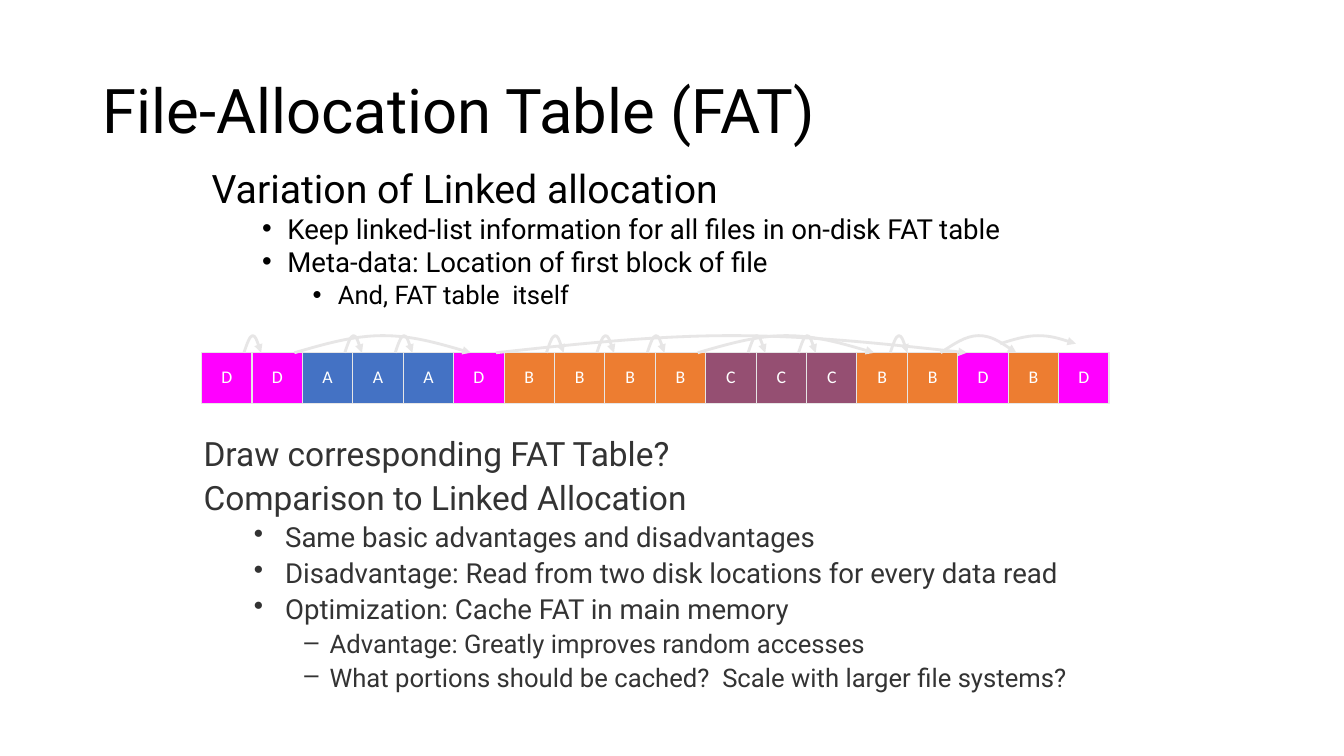
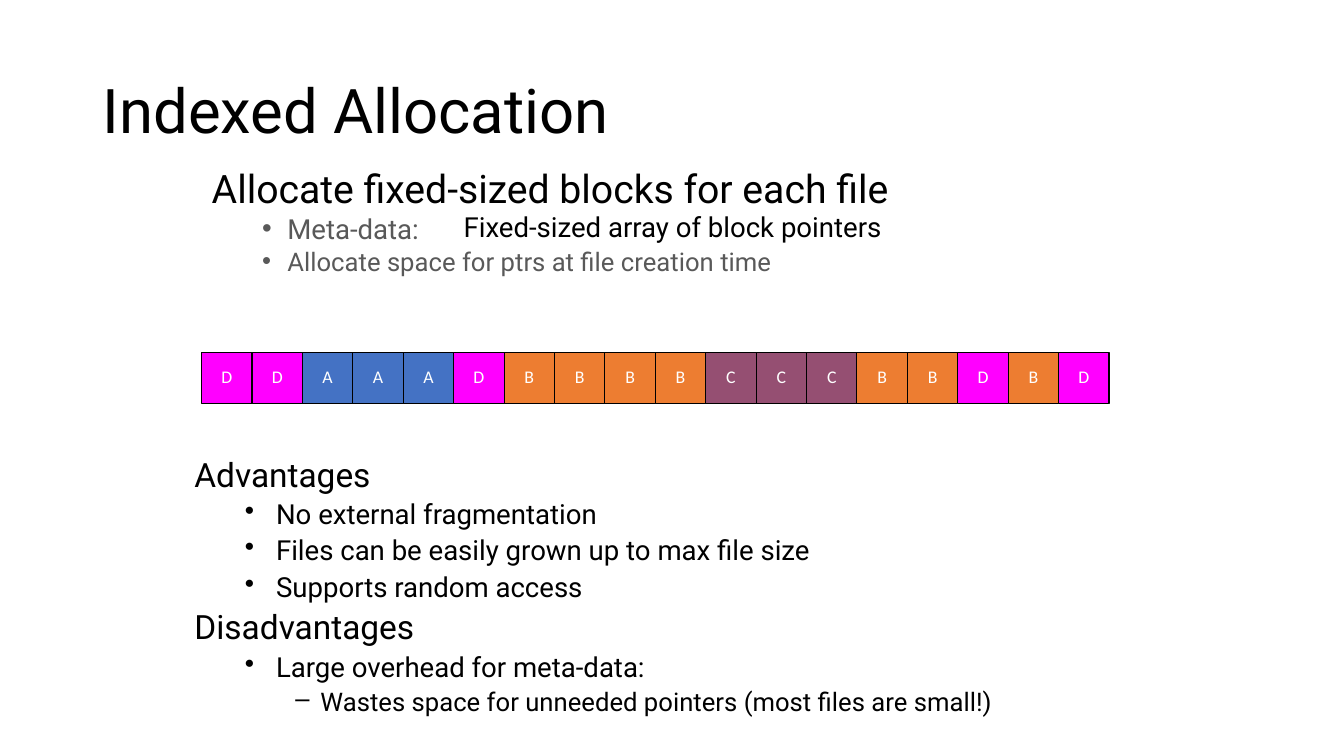
"""Build two slides on how file systems allocate disk blocks."""

from dataclasses import dataclass
from typing import NamedTuple

from lxml.etree import SubElement
from pptx import Presentation
from pptx.dml.color import RGBColor
from pptx.enum.shapes import MSO_SHAPE
from pptx.enum.text import MSO_ANCHOR, MSO_AUTO_SIZE, PP_ALIGN
from pptx.oxml.ns import qn
from pptx.slide import Slide
from pptx.text.text import TextFrame
from pptx.util import Inches, Pt


@dataclass(frozen=True)
class Theme:
    """Colours, fonts and type sizes of the deck."""

    black: str = "000000"
    dark: str = "333333"
    gray: str = "595959"
    pale: str = "E7E6E6"
    white: str = "FFFFFF"
    font: str = "Roboto"
    label: str = "Calibri"
    title: float = 44
    head: float = 28
    topic: float = 23.9
    point: float = 19.7
    leaf: float = 18.3
    cell: float = 12.7


class Box(NamedTuple):
    """A place on the slide in inches."""

    left: float
    top: float
    width: float
    height: float


class Level(NamedTuple):
    """Left margin, hanging indent and bullet of a list level."""

    margin: float
    hang: float
    mark: str = ""


class Style(NamedTuple):
    """Levels and spacing of a list; the gap is points plus a share of size."""

    levels: tuple[Level, ...]
    lines: float
    gap: float = 0
    share: float = 0


class Item(NamedTuple):
    """One paragraph of a list."""

    text: str
    level: int
    size: float
    color: str


class Arc(NamedTuple):
    """An arched arrow that starts at left and rises to the arc top."""

    left: float
    width: float
    rise: float = 0.17


THEME = Theme()
TITLE = Box(0.92, 0.4, 11.5, 1.45)
PLAIN = Style((Level(0, 0),), 0.9)
INSET = Style((Level(0.5, 0),), 0.9)
BODY = Style(
    (Level(0.25, -0.25), Level(0.75, -0.25, "•"), Level(1.25, -0.25, "•")), 0.8, gap=5
)
NOTES = Style(
    (Level(0.37, -0.37), Level(0.81, -0.31, "•"), Level(1.25, -0.25, "–")), 0.9, share=0.23
)
BLOCKS = "DDAAADBBBBCCCBBDBD"
FILLS = {"A": "4472C4", "B": "ED7D31", "C": "954F72", "D": "FF00FF"}
ROW = Box(2, 3.5, 0.5, 0.5)
PEAK = 3.33
HOPS = (2.42, 3.42, 3.92, 5.42, 5.92, 6.42, 7.42, 7.92, 8.83)
ARCS = [Arc(left, 0.17) for left in HOPS] + [
    Arc(6.92, 1.75),
    Arc(9.33, 0.75),
    Arc(2.92, 1.75),
    Arc(4.92, 4.67),
    Arc(9.92, 0.75, 0.08),
]


def place(box: Box) -> list[Inches]:
    """Turn a box into lengths."""
    return [Inches(side) for side in box]


def write(frame: TextFrame, items: list[Item], style: Style, font: str = THEME.font) -> None:
    """Fill a text frame with list items."""
    for i, item in enumerate(items):
        para = frame.add_paragraph() if i else frame.paragraphs[0]
        level = style.levels[item.level]
        props = para._p.get_or_add_pPr()
        props.set("marL", str(Inches(level.margin)))
        props.set("indent", str(Inches(level.hang)))
        if level.mark:
            SubElement(props, qn("a:buChar")).set("char", level.mark)
        else:
            SubElement(props, qn("a:buNone"))
        para.level = item.level
        para.alignment = PP_ALIGN.LEFT
        para.line_spacing = style.lines
        para.space_before = Pt(round(style.gap + style.share * item.size, 1) if i else 0)
        run = para.add_run()
        run.text = item.text
        run.font.name = font
        run.font.size = Pt(item.size)
        run.font.color.rgb = RGBColor.from_string(item.color)


def fill_holder(slide: Slide, key: int, box: Box, items: list[Item], style: Style) -> None:
    """Move a placeholder and fill it."""
    holder = slide.placeholders[key]
    holder.left, holder.top, holder.width, holder.height = place(box)
    holder.text_frame.auto_size = MSO_AUTO_SIZE.NONE
    holder.text_frame.vertical_anchor = MSO_ANCHOR.TOP if key else MSO_ANCHOR.MIDDLE
    write(holder.text_frame, items, style)


def add_text(slide: Slide, box: Box, items: list[Item], style: Style) -> None:
    """Add a text box with list items."""
    frame = slide.shapes.add_textbox(*place(box)).text_frame
    frame.word_wrap = True
    write(frame, items, style)


def add_blocks(slide: Slide, edge: str) -> None:
    """Draw the row of disk blocks."""
    for i, name in enumerate(BLOCKS):
        box = ROW._replace(left=ROW.left + i * ROW.width)
        cell = slide.shapes.add_shape(MSO_SHAPE.RECTANGLE, *place(box))
        cell.shadow.inherit = False
        cell.fill.solid()
        cell.fill.fore_color.rgb = RGBColor.from_string(FILLS[name])
        cell.line.color.rgb = RGBColor.from_string(edge)
        cell.line.width = Pt(0.75)
        frame = cell.text_frame
        frame.word_wrap = False
        frame.vertical_anchor = MSO_ANCHOR.MIDDLE
        write(frame, [Item(name, 0, THEME.cell, THEME.white)], PLAIN, THEME.label)
        frame.paragraphs[0].alignment = PP_ALIGN.CENTER


def add_arc(slide: Slide, arc: Arc) -> None:
    """Draw an arched arrow from two cubic curves."""
    drops = (1, 0.5, 0, 0, 0, 0.5, 1)
    points = [
        (Inches(arc.left + arc.width * i / 6), Inches(PEAK + arc.rise * drop))
        for i, drop in enumerate(drops)
    ]
    pen = slide.shapes.build_freeform(*points[0])
    pen.add_line_segments(points[1:], close=False)
    shape = pen.convert_to_shape()
    steps = list(shape._element.iter(qn("a:lnTo")))
    for i in (0, 3):
        steps[i].tag = qn("a:cubicBezTo")
        for step in steps[i + 1 : i + 3]:
            steps[i].append(step[0])
            step.getparent().remove(step)
    shape.shadow.inherit = False
    shape.fill.background()
    shape.line.color.rgb = RGBColor.from_string(THEME.pale)
    shape.line.width = Pt(2)
    line = shape._element.spPr.find(qn("a:ln"))
    SubElement(line, qn("a:tailEnd")).set("type", "triangle")


def start(deck: Presentation, title: str, body: Box, items: list[Item]) -> Slide:
    """Add a slide with its title and body list."""
    slide = deck.slides.add_slide(deck.slide_layouts[1])
    fill_holder(slide, 0, TITLE, [Item(title, 0, THEME.title, THEME.black)], PLAIN)
    fill_holder(slide, 1, body, items, BODY)
    return slide


def draw_table(deck: Presentation) -> None:
    """Build the slide on the allocation table."""
    black, dark = THEME.black, THEME.dark
    slide = start(deck, "File-Allocation Table (FAT)", Box(2, 1.67, 9.25, 1.58), [
        Item("Variation of Linked allocation", 0, THEME.head, black),
        Item("Keep linked-list information for all files in on-disk FAT table",
             1, THEME.point, black),
        Item("Meta-data: Location of first block of file", 1, THEME.point, black),
        Item("And, FAT table  itself", 2, THEME.leaf, black),
    ])
    add_text(slide, Box(1.92, 4.29, 9.25, 2.92), [
        Item("Draw corresponding FAT Table?", 0, THEME.topic, dark),
        Item("Comparison to Linked Allocation", 0, THEME.topic, dark),
        Item("Same basic advantages and disadvantages", 1, THEME.point, dark),
        Item("Disadvantage: Read from two disk locations for every data read",
             1, THEME.point, dark),
        Item("Optimization: Cache FAT in main memory", 1, THEME.point, dark),
        Item("Advantage: Greatly improves random accesses", 2, THEME.leaf, dark),
        Item("What portions should be cached?  Scale with larger file systems?",
             2, THEME.leaf, dark),
    ], NOTES)
    add_blocks(slide, THEME.pale)
    for arc in ARCS:
        add_arc(slide, arc)


def draw_index(deck: Presentation) -> None:
    """Build the slide on indexed allocation."""
    black, gray = THEME.black, THEME.gray
    slide = start(deck, "Indexed Allocation", Box(2, 1.67, 9.25, 1.17), [
        Item("Allocate fixed-sized blocks for each file", 0, THEME.head, black),
        Item("Meta-data:", 1, THEME.point, gray),
        Item("Allocate space for ptrs at file creation time", 1, THEME.leaf, gray),
    ])
    add_text(slide, Box(1.83, 4.5, 9.25, 2.92), [
        Item("Advantages", 0, THEME.topic, black),
        Item("No external fragmentation", 1, THEME.point, black),
        Item("Files can be easily grown up to max file size", 1, THEME.point, black),
        Item("Supports random access", 1, THEME.point, black),
        Item("Disadvantages", 0, THEME.topic, black),
        Item("Large overhead for meta-data:", 1, THEME.point, black),
        Item("Wastes space for unneeded pointers (most files are small!)",
             2, THEME.leaf, black),
    ], NOTES)
    add_blocks(slide, black)
    add_text(slide, Box(4, 2.07, 4.92, 0.4), [
        Item("Fixed-sized array of block pointers", 0, THEME.point, black),
    ], INSET)


def main() -> None:
    """Build and save the deck."""
    deck = Presentation()
    deck.slide_width, deck.slide_height = Inches(13.33), Inches(7.5)
    draw_table(deck)
    draw_index(deck)
    deck.save("out.pptx")


if __name__ == "__main__":
    main()
